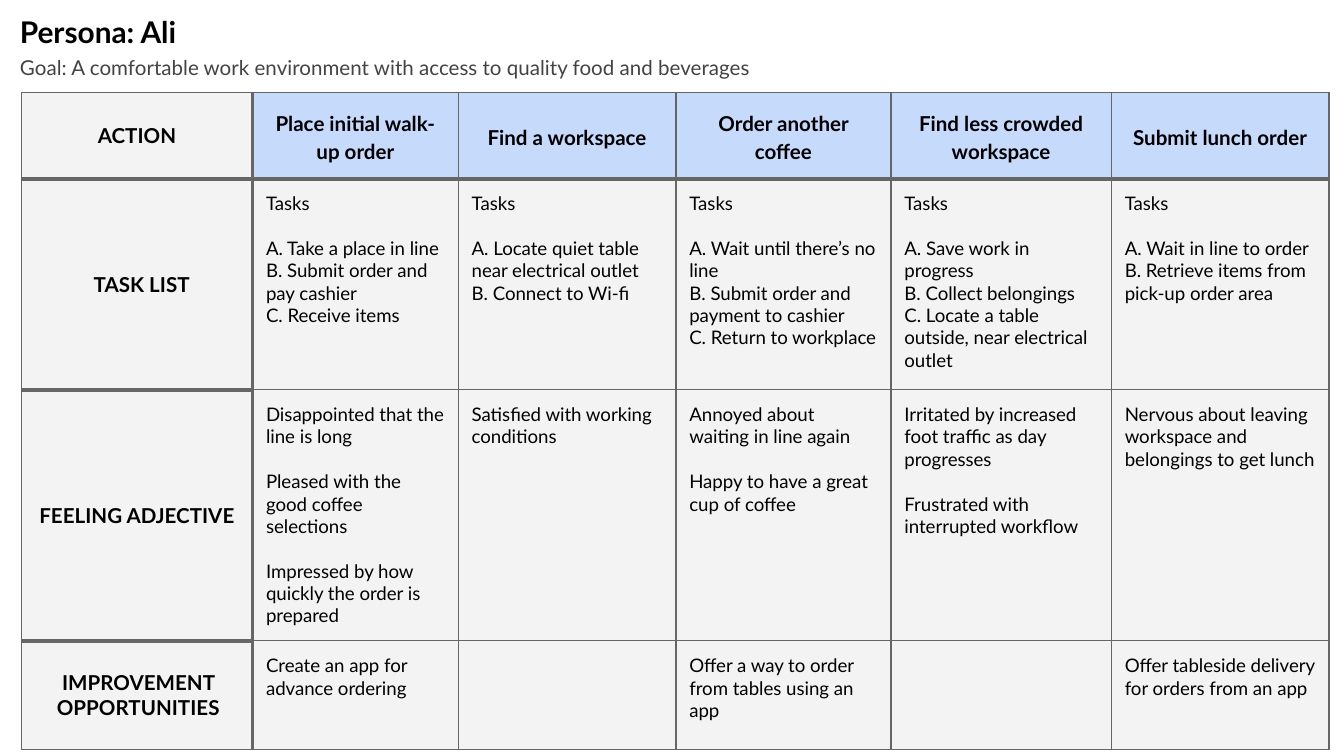
from dataclasses import dataclass

from lxml.etree import SubElement
from pptx import Presentation
from pptx.dml.color import RGBColor
from pptx.enum.text import MSO_ANCHOR, PP_ALIGN
from pptx.oxml.ns import qn
from pptx.util import Inches, Pt

FONT = "Lato"
BLACK, GREY, LINE = "000000", "434343", "666666"
PALE, BLUE = "F3F3F3", "C6DAFC"
THIN, THICK = 0.75, 2.25
INSET = 0.1
WIDTH = 10
HEIGHT = WIDTH * 9 / 16
COLUMNS = [1.72, 1.53, 1.62, 1.6, 1.64, 1.62]
ROWS = [0.64, 1.57, 1.57, 0.81]


@dataclass
class Style:
    size: float
    bold: bool = False
    color: str = BLACK
    align: PP_ALIGN = PP_ALIGN.LEFT
    spacing: float = 1.0


@dataclass
class JourneyRow:
    label: str
    cells: list[list[list[str]]]  # per cell: groups of paragraphs, set apart by a gap


LABEL = Style(11, True, align=PP_ALIGN.CENTER)
HEADING = Style(11, True, align=PP_ALIGN.CENTER, spacing=1.15)
BODY = Style(10)

ACTIONS = ["Place initial walk-up order", "Find a workspace", "Order another coffee",
           "Find less crowded workspace", "Submit lunch order"]
TASKS = [
    ["A. Take a place in line", "B. Submit order and pay cashier", "C. Receive items"],
    ["A. Locate quiet table near electrical outlet", "B. Connect to Wi-fi"],
    ["A. Wait until there’s no line", "B. Submit order and payment to cashier",
     "C. Return to workplace"],
    ["A. Save work in progress", "B. Collect belongings",
     "C. Locate a table outside, near electrical outlet"],
    ["A. Wait in line to order", "B. Retrieve items from pick-up order area"],
]
FEELINGS = [
    [["Disappointed that the line is long"], ["Pleased with the good coffee selections"],
     ["Impressed by how quickly the order is prepared"]],
    [["Satisfied with working conditions"]],
    [["Annoyed about waiting in line again"], ["Happy to have a great cup of coffee"]],
    [["Irritated by increased foot traffic as day progresses"],
     ["Frustrated with interrupted workflow"]],
    [["Nervous about leaving workspace and belongings to get lunch"]],
]
IMPROVEMENTS = [
    [["Create an app for advance ordering"]], [],
    [["Offer a way to order from tables using an app"]], [],
    [["Offer tableside delivery for orders from an app"]],
]
JOURNEY = [
    JourneyRow("ACTION", [[[action]] for action in ACTIONS]),
    JourneyRow("TASK LIST", [[["Tasks"], tasks] for tasks in TASKS]),
    JourneyRow("FEELING ADJECTIVE", FEELINGS),
    JourneyRow("IMPROVEMENT OPPORTUNITIES", IMPROVEMENTS),
]


def rgb(value: str) -> RGBColor:
    return RGBColor.from_string(value)


def write(frame, groups: list[list[str]], style: Style) -> None:
    """Fill a text frame; each group after the first starts one line lower."""
    para = frame.paragraphs[0]
    for group_index, group in enumerate(groups):
        for line_index, text in enumerate(group):
            if group_index or line_index:
                para = frame.add_paragraph()
            para.alignment = style.align
            para.line_spacing = style.spacing
            if group_index and not line_index:
                para.space_before = Pt(style.size * 1.2)
            span = para.add_run()
            span.text = text
            span.font.name = FONT
            span.font.size = Pt(style.size)
            span.font.bold = style.bold
            span.font.color.rgb = rgb(style.color)


def add_heading(page, top: float, width: float, height: float, text: str,
                style: Style) -> None:
    box = page.shapes.add_textbox(Inches(0.05), Inches(top), Inches(width), Inches(height))
    frame = box.text_frame
    frame.word_wrap = True
    frame.margin_left = frame.margin_right = Inches(INSET)
    frame.margin_top = frame.margin_bottom = Inches(INSET)
    write(frame, [[text]], style)


def add_borders(cell, row: int, column: int) -> None:
    """Thick lines close the header row and the label column."""
    label_column = column == 0
    thick = {
        "a:lnL": column == 1,
        "a:lnR": label_column,
        "a:lnT": row == 1 or (label_column and row > 1),
        "a:lnB": row == 0 or (label_column and row < len(ROWS) - 1),
    }
    properties = cell._tc.get_or_add_tcPr()
    for index, (tag, is_thick) in enumerate(thick.items()):
        line = SubElement(properties, qn(tag), w=str(Pt(THICK if is_thick else THIN)))
        fill = SubElement(line, qn("a:solidFill"))
        SubElement(fill, qn("a:srgbClr"), val=LINE)
        properties.insert(index, line)


def add_cell(cell, row: int, column: int, groups: list[list[str]]) -> None:
    is_heading = row == 0 and column > 0
    centred = row == 0 or column == 0
    cell.fill.solid()
    cell.fill.fore_color.rgb = rgb(BLUE if is_heading else PALE)
    cell.margin_left = cell.margin_right = Inches(INSET)
    cell.margin_top = cell.margin_bottom = Inches(INSET)
    cell.vertical_anchor = MSO_ANCHOR.MIDDLE if centred else MSO_ANCHOR.TOP
    write(cell.text_frame, groups, HEADING if is_heading else LABEL if centred else BODY)
    add_borders(cell, row, column)


def add_journey(page) -> None:
    table = page.shapes.add_table(len(ROWS), len(COLUMNS), Inches(0.16), Inches(0.69),
                                  Inches(sum(COLUMNS)), Inches(sum(ROWS))).table
    table.first_row = table.horz_banding = False
    for column, width in enumerate(COLUMNS):
        table.columns[column].width = Inches(width)
    for row, (height, journey) in enumerate(zip(ROWS, JOURNEY)):
        table.rows[row].height = Inches(height)
        for column, groups in enumerate([[[journey.label]], *journey.cells]):
            add_cell(table.cell(row, column), row, column, groups)

    # Small hanging indent of the task label, and the wider inset of the last label
    indent = table.cell(1, 0).text_frame.paragraphs[0]._p.get_or_add_pPr()
    indent.set("marL", str(Inches(0.19)))
    indent.set("indent", str(Inches(-0.12)))
    table.cell(3, 0).margin_left = Inches(0.12)


def main() -> None:
    deck = Presentation()
    deck.slide_width, deck.slide_height = Inches(WIDTH), Inches(HEIGHT)
    page = deck.slides.add_slide(deck.slide_layouts[6])

    # Persona and goal
    add_heading(page, 0, 7.34, 0.44, "Persona: Ali", Style(16, True))
    add_heading(page, 0.32, 9.28, 0.3,
                "Goal: A comfortable work environment with access to quality food and beverages",
                Style(11, color=GREY))

    # Journey table
    add_journey(page)
    deck.save("out.pptx")


if __name__ == "__main__":
    main()
